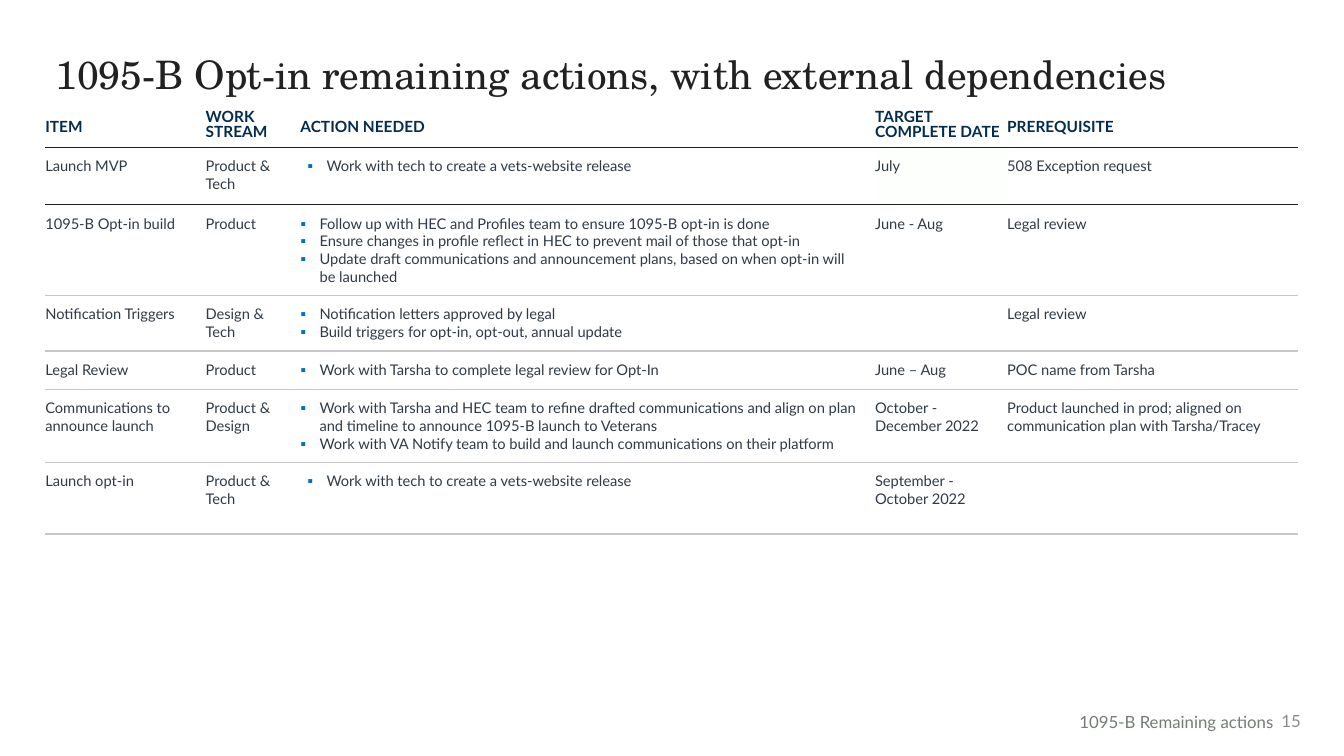
from dataclasses import dataclass

from lxml.etree import SubElement
from pptx import Presentation
from pptx.dml.color import RGBColor
from pptx.enum.text import MSO_ANCHOR, MSO_AUTO_SIZE, PP_ALIGN
from pptx.oxml.ns import qn
from pptx.slide import Slide
from pptx.table import _Cell
from pptx.text.text import TextFrame
from pptx.util import Emu, Pt

EMU_PER_PX = 9144
COLORS = {
    "title": "202120",
    "heading": "022D50",
    "body": "303A46",
    "bullet": "0071BF",
    "dark_rule": "202120",
    "light_rule": "C7C7C7",
    "page_number": "8A8A8A",
    "footer": "747C74",
    "july": "FDFFFD",
}
COLUMN_WIDTHS = [159, 94, 570, 131, 288]
HEADER_HEIGHT = 46
HEADINGS = ["ITEM", "WORK STREAM", "ACTION NEEDED", "TARGET\u00a0\nCOMPLETE DATE".replace("\u00a0", " ").replace(" \n", "\n"), "PREREQUISITE"]
HANGING = 19


@dataclass
class Action:
    height: int
    item: str
    stream: str
    steps: list[str]
    target: str
    prerequisite: str
    indent: int = HANGING
    right_inset: int = 20
    rule: str = "light_rule"


@dataclass
class FooterPart:
    text: str
    box: tuple[int, int, int, int]
    color: str
    anchor: MSO_ANCHOR


ACTIONS = [
    Action(57, "Launch MVP", "Product & Tech",
           ["Work with tech to create a vets-website release"],
           "July", "508 Exception request", indent=26, rule="dark_rule"),
    Action(90, "1095-B Opt-in build", "Product",
           ["Follow up with HEC and Profiles team to ensure 1095-B opt-in is done",
            "Ensure changes in profile reflect in HEC to prevent mail of those that opt-in",
            "Update draft communications and announcement plans, based on when opt-in will be launched"],
           "June - Aug", "Legal review"),
    Action(55, "Notification Triggers", "Design & Tech",
           ["Notification letters approved by legal",
            "Build triggers for opt-in, opt-out, annual update"],
           "", "Legal review"),
    Action(38, "Legal Review", "Product",
           ["Work with Tarsha to complete legal review for Opt-In"],
           "June – Aug", "POC name from Tarsha"),
    Action(72, "Communications to announce launch", "Product & Design",
           ["Work with Tarsha and HEC team to refine drafted communications and align on plan "
            "and timeline to announce 1095-B launch to Veterans",
            "Work with VA Notify team to build and launch communications on their platform"],
           "October - December 2022",
           "Product launched in prod; aligned on communication plan with Tarsha/Tracey",
           right_inset=0),
    Action(71, "Launch opt-in", "Product & Tech",
           ["Work with tech to create a vets-website release"],
           "September - October 2022", "", indent=26, right_inset=0),
]
FOOTER = [
    FooterPart("15", (1256, 695, 44, 40), "page_number", MSO_ANCHOR.MIDDLE),
    FooterPart("1095-B Remaining actions", (1054, 701, 219, 30), "footer", MSO_ANCHOR.TOP),
]


def px(length: int) -> Emu:
    return Emu(length * EMU_PER_PX)


def write(frame: TextFrame, text: str, *, size: float, color: str, font: str = "Lato",
          bold: bool = False, align: PP_ALIGN = PP_ALIGN.LEFT, spacing: float = 1.0,
          bullet_indent: int = 0) -> None:
    for index, line in enumerate(text.split("\n")):
        paragraph = frame.paragraphs[0] if index == 0 else frame.add_paragraph()
        if bullet_indent:
            properties = paragraph._p.get_or_add_pPr()
            properties.set("marL", str(px(bullet_indent)))
            properties.set("indent", str(px(-HANGING)))
            tint = SubElement(properties, qn("a:buClr"))
            SubElement(tint, qn("a:srgbClr"), val=COLORS["bullet"])
            SubElement(properties, qn("a:buFont"), typeface="Lato")
            SubElement(properties, qn("a:buChar"), char="▪")
        paragraph.alignment = align
        paragraph.line_spacing = spacing
        paragraph.font.size = Pt(size)
        if line:
            run = paragraph.add_run()
            run.text = line
            run.font.name = font
            run.font.size = Pt(size)
            run.font.bold = bold
            run.font.color.rgb = RGBColor.from_string(COLORS[color])


def rule_cell(cell: _Cell, top: str | None, bottom: str) -> None:
    properties = cell._tc.get_or_add_tcPr()
    for edge, color in (("lnL", None), ("lnR", None), ("lnT", top), ("lnB", bottom)):
        width = Pt(0.75) if color == "dark_rule" else Pt(1)
        line = SubElement(properties, qn(f"a:{edge}"), w=str(width))
        if color is None:
            SubElement(line, qn("a:noFill"))
        else:
            fill = SubElement(line, qn("a:solidFill"))
            SubElement(fill, qn("a:srgbClr"), val=COLORS[color])
    cell.fill.background()


def inset(cell: _Cell, top: int, right: int, bottom: int) -> None:
    cell.margin_left = px(0)
    cell.margin_top, cell.margin_right, cell.margin_bottom = px(top), px(right), px(bottom)


def add_title(slide: Slide) -> None:
    title = slide.shapes.title
    title.left, title.top, title.width, title.height = map(px, (45, 50, 1300, 67))
    frame = title.text_frame
    frame.auto_size = MSO_AUTO_SIZE.NONE
    frame.vertical_anchor = MSO_ANCHOR.TOP
    write(frame, "1095-B Opt-in remaining actions, with external dependencies",
          size=28, color="title", font="TeX Gyre Schola", spacing=0.9)


def add_actions(slide: Slide) -> None:
    heights = [HEADER_HEIGHT] + [action.height for action in ACTIONS]
    table = slide.shapes.add_table(
        len(heights), len(COLUMN_WIDTHS), px(45), px(100),
        px(sum(COLUMN_WIDTHS)), px(sum(heights))).table
    table.first_row = table.horz_banding = False
    for column, width in zip(table.columns, COLUMN_WIDTHS):
        column.width = px(width)
    for row, height in zip(table.rows, heights):
        row.height = px(height)

    for column, heading in enumerate(HEADINGS):
        cell = table.cell(0, column)
        inset(cell, 3, 3, 0)
        cell.vertical_anchor = MSO_ANCHOR.MIDDLE
        rule_cell(cell, None, "dark_rule")
        write(cell.text_frame, heading, size=11, color="heading", bold=True,
              spacing=0.8 if column in (1, 3) else 1.15)

    rule_above = "dark_rule"
    for row, action in enumerate(ACTIONS, start=1):
        entries = [action.item, action.stream, "\n".join(action.steps),
                   action.target, action.prerequisite]
        for column, entry in enumerate(entries):
            cell = table.cell(row, column)
            inset(cell, 10, 20 if column in (1, 3) else action.right_inset, 10)
            rule_cell(cell, rule_above, action.rule)
            write(cell.text_frame, entry, size=10.5, color="body",
                  bullet_indent=action.indent if column == 2 else 0)
        rule_above = action.rule

    july = table.cell(1, 3)
    july.fill.solid()
    july.fill.fore_color.rgb = RGBColor.from_string(COLORS["july"])


def add_footer(slide: Slide, part: FooterPart) -> None:
    frame = slide.shapes.add_textbox(*map(px, part.box)).text_frame
    frame.word_wrap = True
    frame.vertical_anchor = part.anchor
    write(frame, part.text, size=12, color=part.color, align=PP_ALIGN.RIGHT)


def main() -> None:
    deck = Presentation()
    deck.slide_width, deck.slide_height = px(1333), px(750)
    slide = deck.slides.add_slide(deck.slide_layouts[5])
    add_title(slide)
    add_actions(slide)
    for part in FOOTER:
        add_footer(slide, part)
    deck.save("out.pptx")


if __name__ == "__main__":
    main()
